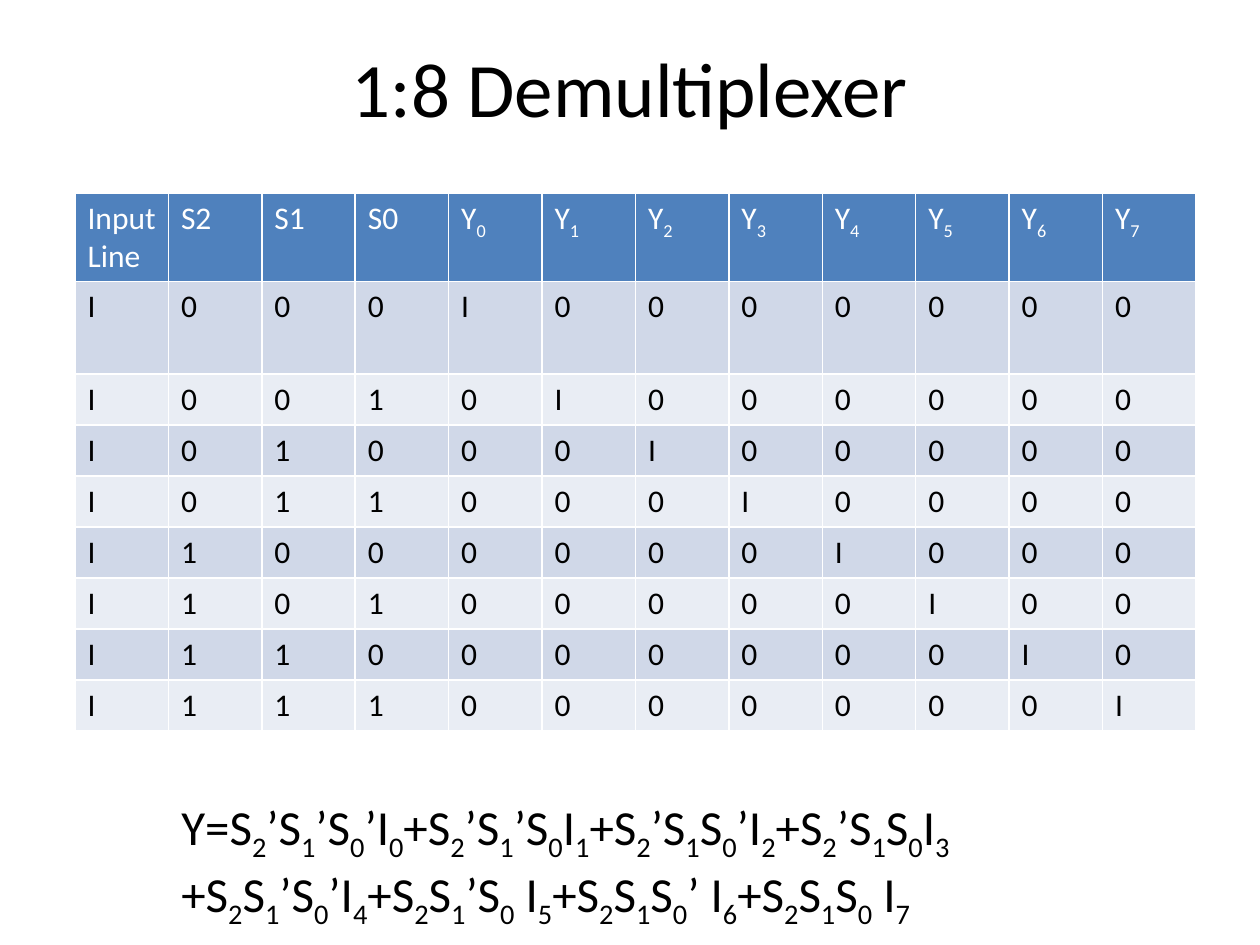
from lxml.etree import SubElement as Sub
from pptx import Presentation
from pptx.dml.color import RGBColor as Rgb
from pptx.enum.text import MSO_ANCHOR as Anchor, PP_ALIGN as Align
from pptx.oxml.ns import qn
from pptx.util import Pt

SCALE = 914400 / 126
HUES = {"ink": "000000", "white": "FFFFFF", "head": "4F81BD",
        "odd": "D0D8E8", "even": "E9EDF4"}


def px(n):
    return round(n * SCALE)


def write(para, text, size, hue):
    """Add text to para; a character after "_" becomes a subscript."""
    first, *rest = text.split("_")
    parts = [(first, False)]
    for part in rest:
        parts += [(part[0], True), (part[1:], False)]
    for words, low in parts:
        if not words:
            continue
        run = para.add_run()
        run.text = words
        look = {"name": "Calibri", "size": Pt(size), "bold": False}
        for key, value in look.items():
            setattr(run.font, key, value)
        run.font.color.rgb = Rgb.from_string(HUES[hue])
        if low:
            run.font._element.set("baseline", "-25000")


deck = Presentation()
deck.slide_width, deck.slide_height = px(1260), px(945)
slide = deck.slides.add_slide(deck.slide_layouts[5])

# Title
title = slide.shapes.title
place = {"left": 63, "top": 8, "width": 1134, "height": 158}
for key, value in place.items():
    setattr(title, key, px(value))
title.text_frame.vertical_anchor = Anchor.MIDDLE
para = title.text_frame.paragraphs[0]
para.alignment = Align.CENTER
write(para, "1:8 Demultiplexer", 44, "ink")

# Formula
box = slide.shapes.add_textbox(px(169), px(790), px(942), px(131))
box.text_frame.word_wrap = True
write(box.text_frame.paragraphs[0],
      "Y=S_2’S_1’S_0’I_0+S_2’S_1’S_0I_1+S_2’S_1S_0’I_2+S_2’S_1S_0I_3 "
      "+S_2S_1’S_0’I_4+S_2S_1’S_0 I_5+S_2S_1S_0’ I_6+S_2S_1S_0 I_7",
      28, "ink")

# Truth table: each row routes the input to the output its select bits name
rows = [["Input Line", "S2", "S1", "S0"] + [f"Y_{n}" for n in range(8)]]
for n in range(8):
    outs = ["I" if n == k else "0" for k in range(8)]
    rows.append(["I", *f"{n:03b}", *outs])
highs = [88, 93] + [51] * 7

table = slide.shapes.add_table(len(rows), len(rows[0]), px(75), px(193),
                               px(1121), px(sum(highs))).table
for col in table.columns:
    col.width = px(1121) // len(rows[0])
for r, (row, high) in enumerate(zip(rows, highs)):
    table.rows[r].height = px(high)
    fill = "head" if r == 0 else "odd" if r % 2 else "even"
    for c, text in enumerate(row):
        cell = table.cell(r, c)
        write(cell.text_frame.paragraphs[0], text, 18,
              "ink" if r else "white")
        props = cell._tc.get_or_add_tcPr()
        for side in ("lnL", "lnR", "lnT", "lnB"):
            line = Sub(props, qn(f"a:{side}"), w=str(Pt(1)))
            paint = Sub(line, qn("a:solidFill"))
            Sub(paint, qn("a:srgbClr"), val=HUES["white"])
        cell.fill.solid()
        cell.fill.fore_color.rgb = Rgb.from_string(HUES[fill])

deck.save("out.pptx")
